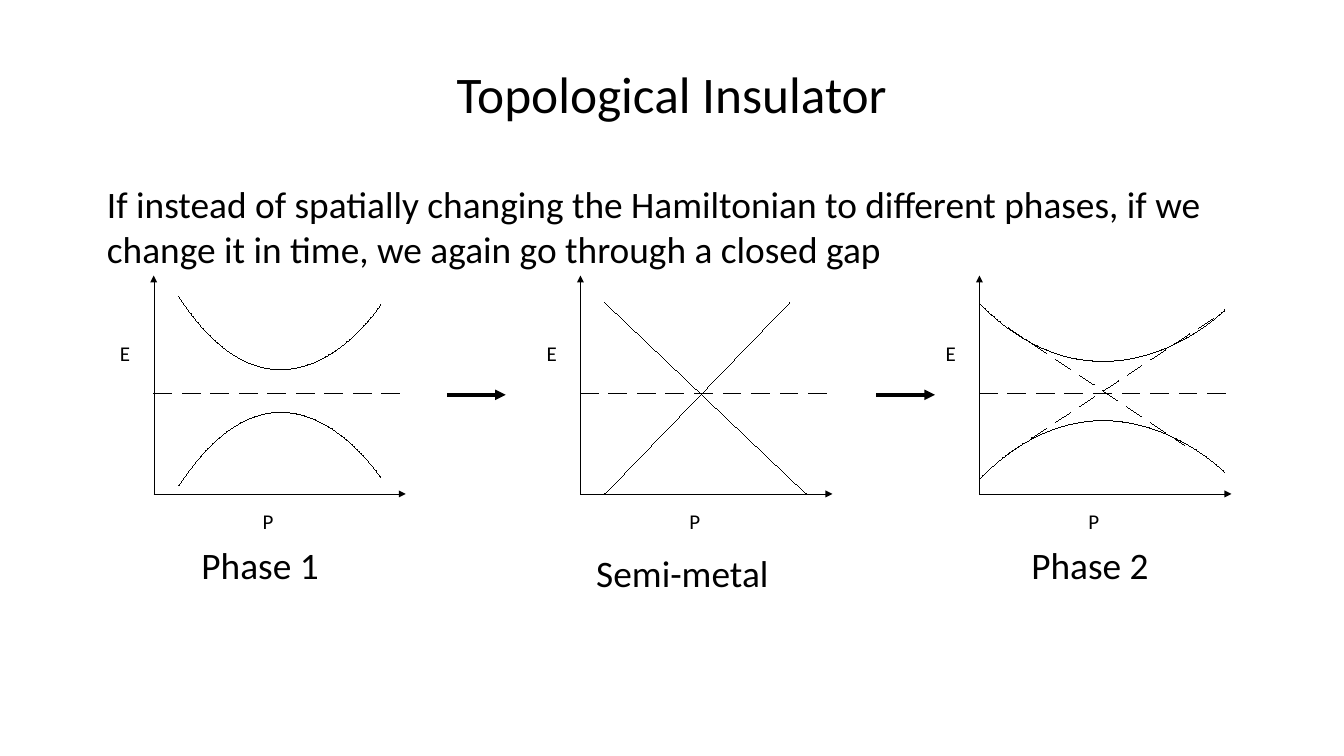
from lxml.etree import SubElement
from pptx import Presentation
from pptx.dml.color import RGBColor
from pptx.enum.shapes import MSO_CONNECTOR
from pptx.enum.text import MSO_ANCHOR, PP_ALIGN
from pptx.oxml.ns import qn
from pptx.util import Pt

BLACK = "000000"
PLOT_TOP, PLOT_WIDTH, PLOT_HEIGHT = 236.16, 216, 187.2
MIRROR = 198  # an upper and a lower band height add up to this


def color(hex_text):
    return RGBColor.from_string(hex_text)


def write(frame, text, size, align=PP_ALIGN.LEFT):
    frame.word_wrap = True
    paragraph = frame.paragraphs[0]
    paragraph.alignment = align
    run = paragraph.add_run()
    run.text = text
    run.font.name = "Calibri"
    run.font.size = Pt(size)
    run.font.color.rgb = color(BLACK)
    return paragraph


def label(slide, text, left, top, width, height, size):
    box = slide.shapes.add_textbox(Pt(left), Pt(top), Pt(width), Pt(height))
    return write(box.text_frame, text, size)


def ink(shape, width=0):
    """Colour the outline and write its width, which a hairline needs too."""
    shape.line.color.rgb = color(BLACK)
    outline = shape._element.spPr.find(qn("a:ln"))
    outline.set("w", str(Pt(width)))
    return outline


def stroke(slide, start, end, width=0, arrow=False, dashed=False):
    line = slide.shapes.add_connector(
        MSO_CONNECTOR.STRAIGHT, *(Pt(value) for value in (*start, *end)))
    outline = ink(line, width)
    if dashed:
        pattern = SubElement(outline, qn("a:custDash"))
        SubElement(pattern, qn("a:ds"), d="2000000", sp="1200000")
    if arrow:
        SubElement(outline, qn("a:tailEnd"), type="triangle")
    SubElement(line._element.spPr, qn("a:effectLst"))


def turning_point(start, control, end):
    def at(t):
        weights = ((1 - t) ** 3, 3 * t * (1 - t) ** 2, 3 * t ** 2 - 2 * t ** 3)
        return [sum(w * value for w, value in zip(weights, axis))
                for axis in zip(start, control, end)]
    return max((at(step / 100) for step in range(101)),
               key=lambda point: abs(point[1] - start[1]))


def band(slide, start, control, end):
    """Draw a cubic curve whose second control point is its end."""
    turn = turning_point(start, control, end)
    builder = slide.shapes.build_freeform(*(Pt(value) for value in start))
    builder.add_line_segments(
        [(Pt(x), Pt(y)) for x, y in (turn, end)], close=False)
    curve = builder.convert_to_shape()
    outline_path = next(curve._element.iter(qn("a:path")))
    for segment in outline_path.findall(qn("a:lnTo")):
        outline_path.remove(segment)
    cubic = SubElement(outline_path, qn("a:cubicBezTo"))
    for x, y in (control, end, end):
        SubElement(cubic, qn("a:pt"), x=str(Pt(x) - curve.left),
                   y=str(Pt(y) - curve.top))
    curve.shadow.inherit = False
    curve.fill.background()
    ink(curve)


def band_pair(slide, left, top, upper):
    lower = [(x, MIRROR - y) for x, y in upper]
    for points in (upper, lower):
        band(slide, *[(left + x, top + y) for x, y in points])


def crossing(slide, left, top, lines, dashed=False):
    for x1, y1, x2, y2 in lines:
        stroke(slide, (left + x1, top + y1), (left + x2, top + y2), dashed=dashed)


def axes(slide, left, top):
    bottom, right = top + PLOT_HEIGHT, left + PLOT_WIDTH
    fermi_level = bottom - 86.4
    stroke(slide, (left, bottom), (left, top), arrow=True)
    stroke(slide, (left, bottom), (right, bottom), arrow=True)
    stroke(slide, (left, fermi_level), (right, fermi_level), dashed=True)
    label(slide, "E", left - 36, top + 51.84, 36, 28.8, 18)
    label(slide, "P", left + 86.4, bottom + 8.64, 100.8, 28.8, 18)


def phase_1(slide, left, top):
    axes(slide, left, top)
    band_pair(slide, left, top, [(21.6, 18), (110.88, 154.8), (194.4, 25.2)])
    label(slide, "Phase 1", left + 33.84, top + 225.36, 223.2, 45.36, 32)


def semi_metal(slide, left, top):
    axes(slide, left, top)
    crossing(slide, left, top, [(20.88, PLOT_HEIGHT, 179.28, 23.04),
                                (20.88, 23.04, 193.68, PLOT_HEIGHT)])
    label(slide, "Semi-metal", left + 6.48, top + 231.84, 180, 78.48, 32)


def phase_2(slide, left, top):
    axes(slide, left, top)
    band_pair(slide, left, top, [(0, 23.76), (108, 132.48), (210.24, 29.52)])
    crossing(slide, left, top, [(24.48, 152.64, 210.24, 30.24),
                                (24.48, 44.64, 175.68, 145.44)], dashed=True)
    label(slide, "Phase 2", left + 37.44, top + 225.36, 152.64, 79.2, 32)


def heading(slide, left, top, width, height):
    title = slide.shapes.title
    title.left, title.top = Pt(left), Pt(top)
    title.width, title.height = Pt(width), Pt(height)
    title.text_frame.vertical_anchor = MSO_ANCHOR.MIDDLE
    write(title.text_frame, "Topological Insulator", 44, PP_ALIGN.CENTER)


def statement(slide, left, top, width, height):
    paragraph = label(
        slide,
        "If instead of spatially changing the Hamiltonian to different phases, "
        "if we change it in time, we again go through a closed gap",
        left, top, width, height, 32)
    paragraph._p.get_or_add_pPr().set("marL", str(Pt(27)))


def main():
    deck = Presentation()
    deck.slide_width, deck.slide_height = Pt(1152), Pt(648)
    slide = deck.slides.add_slide(deck.slide_layouts[5])
    heading(slide, 57.6, 25.92, 1036.8, 108)
    statement(slide, 57.6, 151.92, 1044, 427.68)
    phase_1(slide, 131.76, PLOT_TOP)
    semi_metal(slide, 497.52, PLOT_TOP)
    phase_2(slide, 839.52, PLOT_TOP)
    for arrow_left in (383.04, 750.96):
        stroke(slide, (arrow_left, 338.4), (arrow_left + 50.4, 338.4),
               width=3, arrow=True)
    deck.save("out.pptx")


if __name__ == "__main__":
    main()
